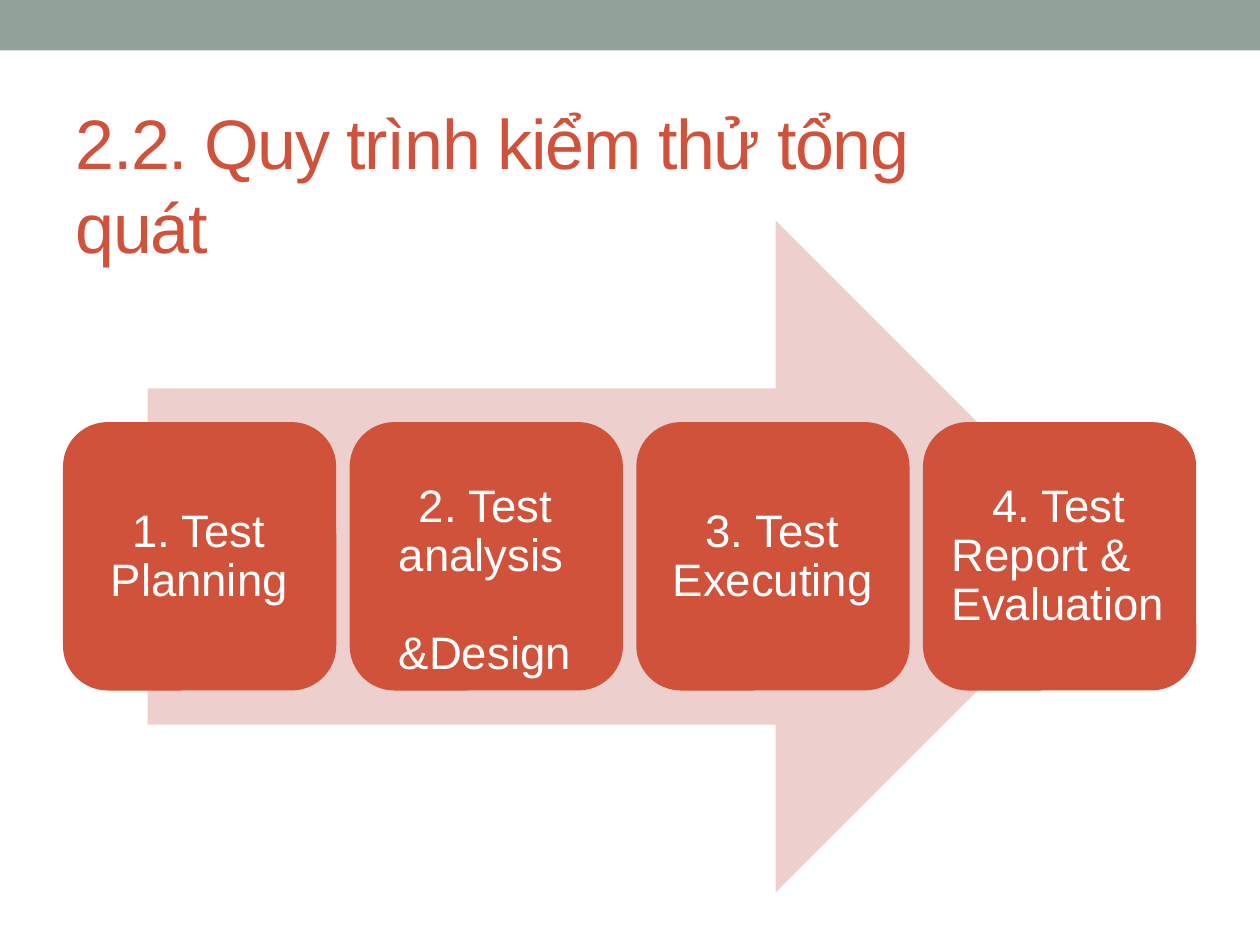
from dataclasses import dataclass

from pptx import Presentation
from pptx.dml.color import RGBColor
from pptx.enum.shapes import MSO_SHAPE
from pptx.enum.text import MSO_ANCHOR, MSO_AUTO_SIZE, PP_ALIGN
from pptx.util import Pt

SAGE = RGBColor(0x92, 0xA1, 0x99)
BLUSH = RGBColor(0xED, 0xCF, 0xCD)
BRICK = RGBColor(0xD1, 0x52, 0x3B)
WHITE = RGBColor(0xFF, 0xFF, 0xFF)
FONT = "Arial"

STEP_LEFT, STEP_TOP = 36, 241.2
STEP_WIDTH, STEP_HEIGHT = 156.2, 153.4
STEP_PITCH = 163.8
STEP_LEADING = 28


@dataclass(frozen=True)
class Step:
    text: str
    inset_left: float
    inset_top: float
    first_indent: float


STEPS = (
    Step("1. Test\vPlanning", 19.8, 41.4, 12.2),
    Step("2. Test\vanalysis\n&Design", 20.6, 27, 11.5),
    Step("3. Test\vExecuting", 13.4, 41.4, 18.7),
    Step("4. Test\vReport &\vEvaluation", 9, 27, 23),
)


def add_filled(slide, kind: MSO_SHAPE, left: float, top: float,
               width: float, height: float, color: RGBColor):
    shape = slide.shapes.add_shape(kind, Pt(left), Pt(top), Pt(width), Pt(height))
    shape.shadow.inherit = False
    shape.fill.solid()
    shape.fill.fore_color.rgb = color
    shape.line.fill.background()
    return shape


def set_frame(frame, left: float, top: float) -> None:
    frame.margin_left, frame.margin_top = Pt(left), Pt(top)
    frame.margin_right = frame.margin_bottom = 0
    frame.vertical_anchor = MSO_ANCHOR.TOP
    frame.auto_size = MSO_AUTO_SIZE.NONE
    frame.word_wrap = True


def format_paragraph(paragraph, size: float, color: RGBColor, leading: float) -> None:
    paragraph.alignment = PP_ALIGN.LEFT
    paragraph.line_spacing = Pt(leading)
    for run in paragraph.runs:
        run.font.name = FONT
        run.font.size = Pt(size)
        run.font.color.rgb = color


def add_title(slide, text: str) -> None:
    title = slide.shapes.title
    title.left, title.top = Pt(42.5), Pt(56.2)
    title.width, title.height = Pt(558), Pt(49.7)
    frame = title.text_frame
    frame.text = text
    set_frame(frame, 0.7, 0.7)
    heading = frame.paragraphs[0]
    format_paragraph(heading, 40, BRICK, 48)
    for run in heading.runs:
        run.font._element.set("spc", "-80")


def add_step(slide, index: int, step: Step) -> None:
    box = add_filled(slide, MSO_SHAPE.ROUNDED_RECTANGLE,
                     STEP_LEFT + index * STEP_PITCH, STEP_TOP,
                     STEP_WIDTH, STEP_HEIGHT, BRICK)
    frame = box.text_frame
    set_frame(frame, step.inset_left, step.inset_top)
    frame.text = step.text
    for position, paragraph in enumerate(frame.paragraphs):
        format_paragraph(paragraph, 26, WHITE, STEP_LEADING)
        if position == 0:
            paragraph._p.get_or_add_pPr().set("indent", str(Pt(step.first_indent)))
        else:
            paragraph.space_before = Pt(STEP_LEADING)


def main() -> None:
    presentation = Presentation()
    presentation.slide_width, presentation.slide_height = Pt(720), Pt(540)
    slide = presentation.slides.add_slide(presentation.slide_layouts[5])
    add_filled(slide, MSO_SHAPE.RECTANGLE, 0, 0, 720, 28.8, SAGE)
    add_filled(slide, MSO_SHAPE.RIGHT_ARROW, 84.4, 126, 550.8, 384, BLUSH)
    for index, step in enumerate(STEPS):
        add_step(slide, index, step)
    add_title(slide, "2.2. Quy trình kiểm thử tổng quát")
    presentation.save("out.pptx")


if __name__ == "__main__":
    main()
